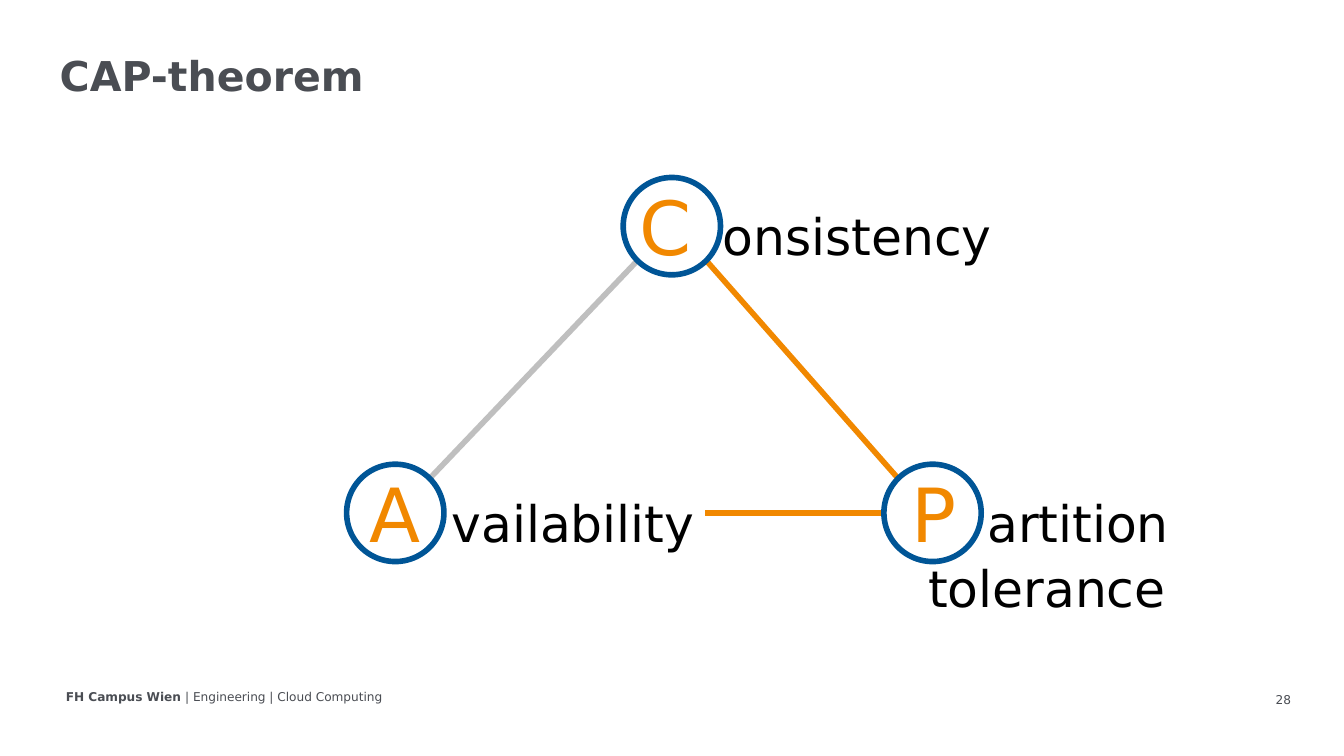
"""Builds the CAP-theorem slide with its triangle of three properties."""
from dataclasses import dataclass
from math import sqrt

from lxml.etree import SubElement
from pptx import Presentation
from pptx.dml.color import RGBColor
from pptx.enum.shapes import MSO_CONNECTOR as Connector, MSO_SHAPE as Shape
from pptx.enum.text import MSO_ANCHOR as Anchor, PP_ALIGN as Align
from pptx.oxml.ns import qn
from pptx.util import Cm, Pt


@dataclass(frozen=True)
class Theme:
    font: str = "DejaVu Sans"
    grey: str = "4A4D53"
    black: str = "000000"
    orange: str = "F18800"
    blue: str = "005596"
    silver: str = "BFBFBF"
    title: float = 44
    initial: float = 80
    word: float = 54
    footer: float = 13
    stroke: float = 6


THEME = Theme()
DIAMETER = 3.68
RADIUS = DIAMETER / 2
DIAGONAL = RADIUS / sqrt(2)


def color(code):
    return RGBColor.from_string(code)


def add_text(slide, box, paragraphs, align=Align.LEFT, anchor=Anchor.TOP,
             inset=0.25, spacing=None, tab=None, indent=0):
    """Each paragraph is a list of (text, size, colour, bold) runs."""
    frame = slide.shapes.add_textbox(*map(Cm, box)).text_frame
    frame.word_wrap = True
    frame.vertical_anchor = anchor
    frame.margin_left = frame.margin_right = Cm(inset)
    for index, runs in enumerate(paragraphs):
        paragraph = frame.add_paragraph() if index else frame.paragraphs[0]
        paragraph.alignment = align
        if spacing:
            paragraph.line_spacing = spacing
        properties = paragraph._p.get_or_add_pPr()
        if index and indent:
            properties.set("marL", str(Cm(indent)))
        elif tab:
            stops = SubElement(properties, qn("a:tabLst"))
            SubElement(stops, qn("a:tab"), pos=str(Cm(tab)), algn="l")
        for text, size, code, bold in runs:
            run = paragraph.add_run()
            run.text = text
            run.font.name = THEME.font
            run.font.size = Pt(size)
            run.font.bold = bold
            run.font.color.rgb = color(code)


def add_edge(slide, start, end, code):
    edge = slide.shapes.add_connector(Connector.STRAIGHT, *map(Cm, start + end))
    edge.line.color.rgb = color(code)
    edge.line.width = Pt(THEME.stroke)
    SubElement(edge._element.spPr, qn("a:effectLst"))


def add_circle(slide, center):
    x, y = center
    circle = slide.shapes.add_shape(
        Shape.OVAL, Cm(x - RADIUS), Cm(y - RADIUS), Cm(DIAMETER), Cm(DIAMETER))
    circle.shadow.inherit = False
    circle.fill.background()
    circle.line.color.rgb = color(THEME.blue)
    circle.line.width = Pt(THEME.stroke)


def add_property(slide, center, left, width, tab, initial, first, *more):
    """Writes the initial inside its circle and the rest of the name after it."""
    lines = [[(initial, THEME.initial, THEME.orange, False),
              ("\t" + first, THEME.word, THEME.black, False)]]
    lines += [[(line, THEME.word, THEME.black, False)] for line in more]
    height = DIAMETER + 2.3 * len(more)
    add_text(slide, (left, center[1] - RADIUS, width, height), lines,
             tab=tab, indent=0.61)
    add_circle(slide, center)


def add_footer(slide):
    add_text(slide, (37.9, 25.93, 11.43, 1.07),
             [[("28", THEME.footer, THEME.grey, False)]],
             align=Align.RIGHT, anchor=Anchor.MIDDLE, inset=0.5)
    add_text(slide, (2.24, 25.93, 17.22, 0.81),
             [[("FH Campus Wien ", THEME.footer, THEME.grey, True),
               ("| Engineering | Cloud Computing", THEME.footer, THEME.grey, False)]])


def add_triangle(slide):
    consistency, availability, partition = (25.41, 8.55), (14.95, 19.39), (35.27, 19.39)

    def rim(center, side, down):
        return center[0] + side * DIAGONAL, center[1] + down * DIAGONAL

    add_edge(slide, (26.67, partition[1]), (partition[0] - RADIUS, partition[1]),
             THEME.orange)
    add_edge(slide, rim(consistency, 1, 1), rim(partition, -1, -1), THEME.orange)
    add_edge(slide, rim(consistency, -1, 1), rim(availability, 1, -1), THEME.silver)
    add_property(slide, consistency, 23.95, 14.2, 3.13, "C", "onsistency")
    add_property(slide, availability, 13.72, 13.2, 3.11, "A", "vailability")
    add_property(slide, partition, 34.24, 11.2, 2.85, "P", "artition", "tolerance")


def main():
    deck = Presentation()
    deck.slide_width, deck.slide_height = Cm(50.83), Cm(28.58)
    slide = deck.slides.add_slide(deck.slide_layouts[6])
    add_footer(slide)
    add_text(slide, (2.01, 1.98, 47.32, 1.96),
             [[("CAP-theorem", THEME.title, THEME.grey, True)]],
             anchor=Anchor.MIDDLE, spacing=0.9)
    add_triangle(slide)
    deck.save("out.pptx")


if __name__ == "__main__":
    main()
